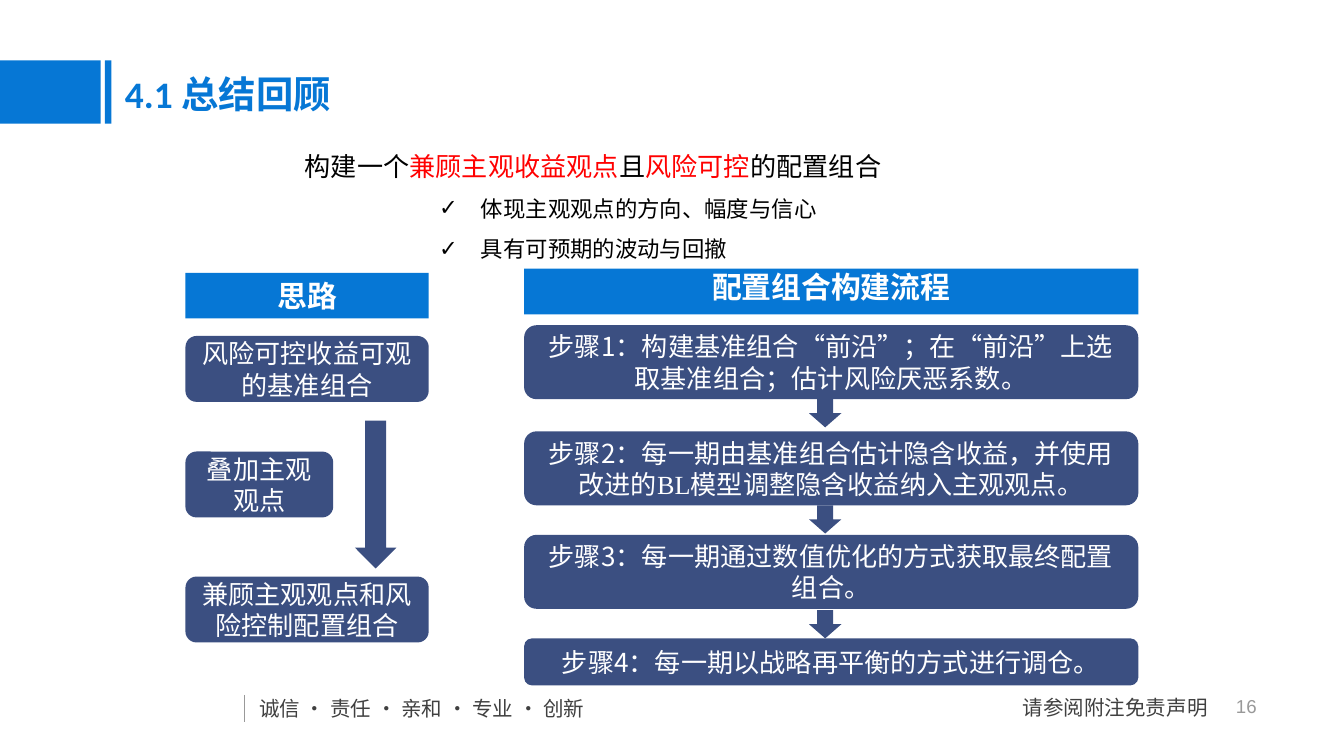
from lxml import etree
from pptx import Presentation, util as u
from pptx.dml.color import RGBColor
from pptx.enum import shapes, text
from pptx.oxml import ns

BLUE = RGBColor(0x06, 0x77, 0xD5)
NAVY = RGBColor(0x3B, 0x4F, 0x81)
WHITE = RGBColor(0xFF, 0xFF, 0xFF)
BLACK = RGBColor(0, 0, 0)
RED = RGBColor(0xFF, 0, 0)
DARK = RGBColor(0x40, 0x40, 0x40)
GREY = RGBColor(0x99, 0x99, 0x99)
CJK = "Noto Sans CJK SC"
RECT, ROUND, DOWN = (shapes.MSO_SHAPE.RECTANGLE, shapes.MSO_SHAPE.ROUNDED_RECTANGLE,
                     shapes.MSO_SHAPE.DOWN_ARROW)

# Two columns (left edge, width) and shared heights, in inches
IDEA_X, IDEA_W = 1.38, 1.81
FLOW_X, FLOW_W = 3.9, 4.57
HEAD_H, IDEA_H, STEP_H, LAST_H = 0.34, 0.49, 0.55, 0.35

prs = Presentation()
prs.slide_width = u.Inches(10)
prs.slide_height = prs.slide_width * 9 // 16
s = prs.slides.add_slide(prs.slide_layouts[5])


def add_box(kind, x, y, w, h, fill=None):
    """Add a filled preset shape, or a text box when kind is None."""
    place = [u.Inches(v) for v in (x, y, w, h)]
    if kind is None:
        sp = s.shapes.add_textbox(*place)
    else:
        sp = s.shapes.add_shape(kind, *place)
        sp.shadow.inherit = False
        sp.fill.solid()
        sp.fill.fore_color.rgb = fill
        sp.line.fill.background()
        sp.text_frame.vertical_anchor = text.MSO_ANCHOR.MIDDLE
        sp.text_frame.paragraphs[0].alignment = text.PP_ALIGN.CENTER
    sp.text_frame.word_wrap = True
    return sp


def add_run(p, words, size, color, font=CJK, bold=False):
    """Add a formatted run to a paragraph."""
    r = p.add_run()
    r.text = words
    r.font.size, r.font.bold, r.font.name = u.Pt(size), bold, font
    r.font.color.rgb = color
    etree.SubElement(r._r.get_or_add_rPr(), ns.qn("a:ea")).set("typeface", CJK)


# Footer: motto, divider, disclaimer, page number
p = add_box(None, 1.83, 5.13, 2.94, 0.29).text_frame.paragraphs[0]
add_run(p, "诚信 · 责任 · 亲和 · 专业 · 创新", 11, DARK)

divider = s.shapes.add_connector(shapes.MSO_CONNECTOR.STRAIGHT, u.Inches(1.82), u.Inches(5.17),
                                 u.Inches(1.82), u.Inches(5.37))
divider.line.color.rgb, divider.line.width = GREY, u.Pt(0.75)
etree.SubElement(divider._element.spPr, ns.qn("a:effectLst"))

p = add_box(None, 7.51, 5.12, 1.66, 0.29).text_frame.paragraphs[0]
add_run(p, "请参阅附注免责声明", 11, DARK)

tf = add_box(None, 9.14, 5.17, 0.21, 0.17).text_frame
tf.margin_left = tf.margin_right = tf.margin_top = tf.margin_bottom = 0
tf.word_wrap = False
tf.paragraphs[0].alignment = text.PP_ALIGN.RIGHT
add_run(tf.paragraphs[0], "16", 10, GREY, "Arial")

# Title with its two bars
for x, w in [(0, 0.75), (0.78, 0.05)]:
    add_box(RECT, x, 0.45, w, 0.47, BLUE)
title = s.shapes.title
title.left, title.top, title.width, title.height = [u.Inches(v) for v in (0.83, 0.48, 8.43, 0.44)]
tf = title.text_frame
tf.auto_size = text.MSO_AUTO_SIZE.NONE
tf.vertical_anchor = text.MSO_ANCHOR.TOP
tf.paragraphs[0].alignment = text.PP_ALIGN.LEFT
add_run(tf.paragraphs[0], "4.1 总结回顾", 20, BLUE, "Calibri", True)

# Goal and its two checked points
tf = add_box(None, 2.17, 0.95, 5.26, 1.01).text_frame
p = tf.paragraphs[0]
p.line_spacing = 1.5
for words, color in [("构建一个", BLACK), ("兼顾主观收益观点", RED), ("且", BLACK),
                     ("风险可控", RED), ("的配置组合", BLACK)]:
    add_run(p, words, 14, color)
for words in ["体现主观观点的方向、幅度与信心", "具有可预期的波动与回撤"]:
    p = tf.add_paragraph()
    p.level, p.line_spacing = 1, 1.5
    pPr = p._p.get_or_add_pPr()
    pPr.set("marL", str(u.Inches(1.31)))
    pPr.set("indent", str(u.Inches(-0.31)))
    etree.SubElement(pPr, ns.qn("a:buFont")).set("typeface", "Arial")
    etree.SubElement(pPr, ns.qn("a:buChar")).set("char", "✓")
    add_run(p, words, 12, BLACK)

# Column headers
sp = add_box(RECT, IDEA_X, 2.03, IDEA_W, HEAD_H, BLUE)
add_run(sp.text_frame.paragraphs[0], "思路", 16, WHITE, bold=True)
add_box(RECT, FLOW_X, 2, FLOW_W, HEAD_H, BLUE)
tf = add_box(None, FLOW_X, 1.95, FLOW_W, 0.37).text_frame
tf.margin_left = tf.margin_right = u.Inches(0.04)
tf.paragraphs[0].alignment = text.PP_ALIGN.CENTER
add_run(tf.paragraphs[0], "配置组合构建流程", 16, WHITE, bold=True)

# Idea column
for y, w, words in [(2.5, IDEA_W, "风险可控收益可观的基准组合"),
                    (3.36, 1.1, "叠加主观观点"),
                    (4.29, IDEA_W, "兼顾主观观点和风险控制配置组合")]:
    sp = add_box(ROUND, IDEA_X, y, w, IDEA_H, NAVY)
    add_run(sp.text_frame.paragraphs[0], words, 14, WHITE)
add_box(DOWN, 2.64, 3.13, 0.31, 1.1, NAVY)

# Flow column: steps joined by arrows, the last one flatter
steps = [
    (2.42, STEP_H, [("步骤1：构建基准组合“前沿”；在“前沿”上选取基准组合；估计风险厌恶系数。", CJK)]),
    (3.21, STEP_H, [("步骤2：每一期由基准组合估计隐含收益，并使用改进的", CJK),
                    ("BL", "Times New Roman"), ("模型调整隐含收益纳入主观观点。", CJK)]),
    (3.98, STEP_H, [("步骤3：每一期通过数值优化的方式获取最终配置组合。", CJK)]),
    (4.75, LAST_H, [("步骤4：每一期以战略再平衡的方式进行调仓。", CJK)]),
]
for y, h, runs in steps:
    sp = add_box(ROUND, FLOW_X, y, FLOW_W, h, NAVY)
    for words, font in runs:
        add_run(sp.text_frame.paragraphs[0], words, 14, WHITE, font)
for y in (2.97, 3.76, 4.54):
    add_box(DOWN, 6.02, y, 0.24, 0.21, NAVY)

prs.save("out.pptx")
